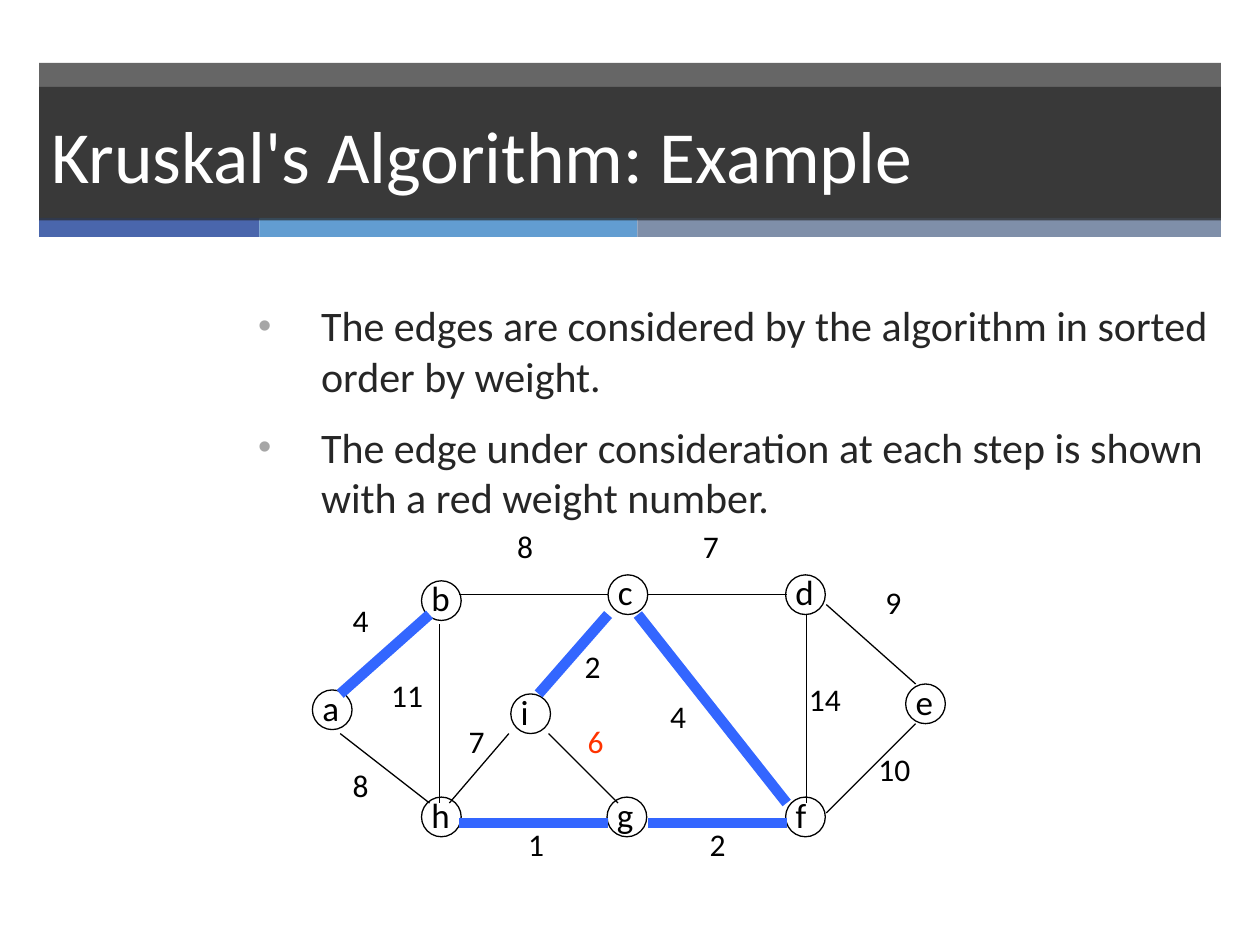
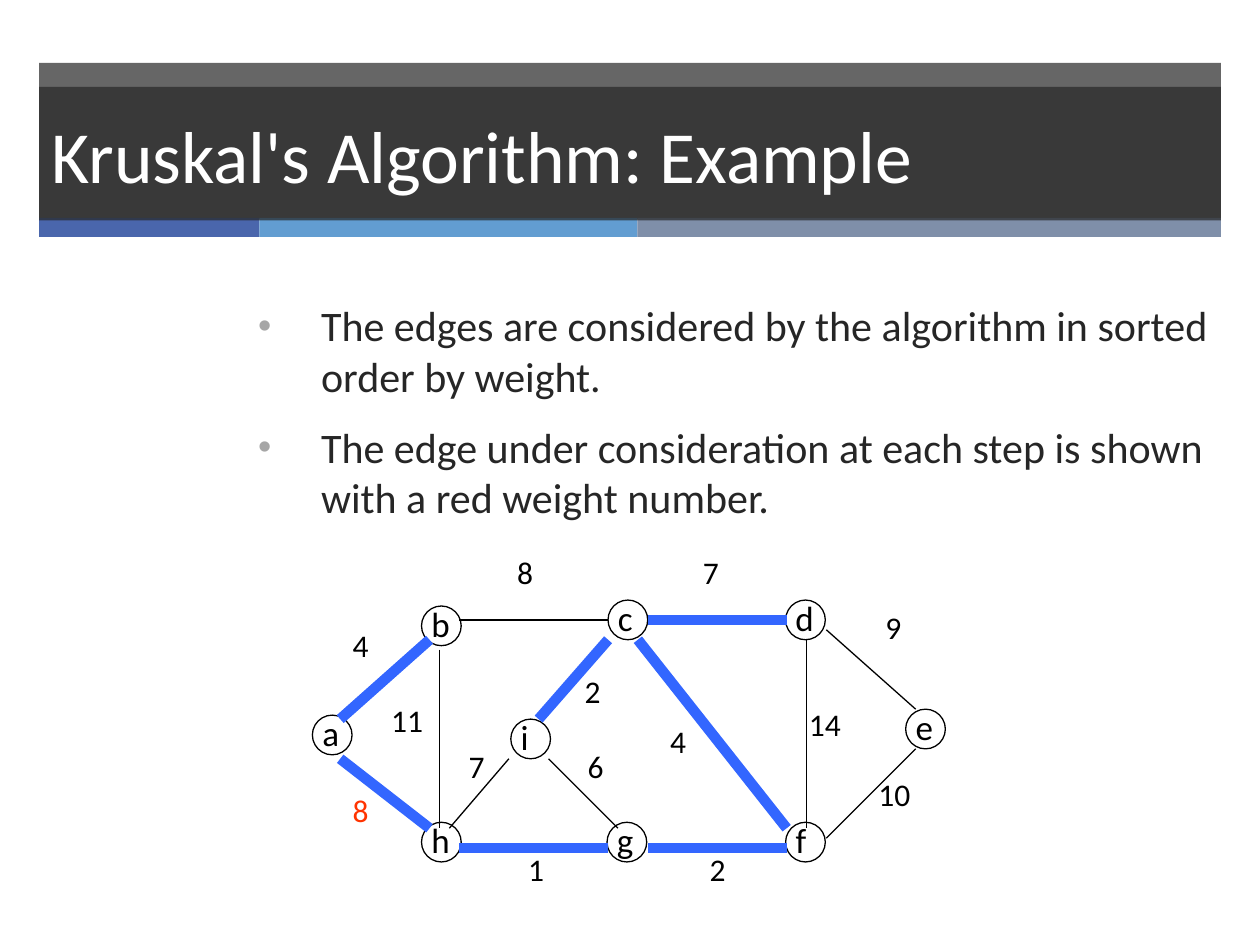
import pptx
import pptx.util
import pptx.dml.color
import pptx.enum.shapes
import pptx.enum.text
import pptx.oxml
import pptx.oxml.ns
import lxml.etree

Inches = pptx.util.Inches
Pt = pptx.util.Pt
RGB = pptx.dml.color.RGBColor
SHAPE = pptx.enum.shapes.MSO_SHAPE
qn = pptx.oxml.ns.qn

FONT = "Calibri"
DARK = RGB(0x26, 0x26, 0x26)
WHITE = RGB(0xFF, 0xFF, 0xFF)
BLACK = RGB(0, 0, 0)
TREE_BLUE = RGB(0x33, 0x66, 0xFF)
CURRENT_RED = RGB(0xFF, 0x33, 0)
STRIPES = [
    (1.75, RGB(0x4A, 0x66, 0xAC)),
    (3.00, RGB(0x62, 0x9D, 0xD1)),
    (4.63, RGB(0x7F, 0x8F, 0xA9)),
]

TITLE = "Kruskal's Algorithm: Example"
BULLETS = [
    "The edges are considered by the algorithm in sorted order by weight.",
    "The edge under consideration at each step is shown with a red weight number.",
]

STEPS = [
    {"top": 4.72, "tree": {"ab", "ic", "cf", "hg", "gf"}, "current": "ig"},
    {"top": 4.92, "tree": {"ab", "ic", "cf", "hg", "gf", "cd", "ah"}, "current": "ah"},
]

# name: centre column, centre row, label width in inches
NODES = {
    "a": (-0.8, 11.6, 0.32),
    "b": (10.2, 0.6, 0.34),
    "h": (10.2, 22.4, 0.34),
    "c": (29, 0, 0.32),
    "d": (46.9, 0, 0.34),
    "e": (59, 11, 0.32),
    "f": (46.9, 22.4, 0.29),
    "g": (28.9, 22.4, 0.34),
    "i": (19.2, 12, 0.28),
}

# name: start cell, end cell, weight, weight cell
EDGES = {
    "ab": ((0, 10), (9, 2), 4, (0, 0)),
    "ah": ((0, 14), (9, 21), 8, (0, 16.6)),
    "bh": ((10, 3), (10, 21), 11, (3.9, 7.6)),
    "bc": ((12, 0), (27, 0), 8, (16.6, -7.4)),
    "hg": ((12, 23), (27, 23), 1, (17.7, 22.6)),
    "gf": ((31, 23), (45, 23), 2, (36, 22.6)),
    "cf": ((30, 2), (45, 21), 4, (32, 9.7)),
    "cd": ((31, 0), (45, 0), 7, (35.3, -7.4)),
    "df": ((47, 2), (47, 21), 14, (46, 8)),
    "de": ((49, 1), (58, 9), 9, (53.7, -1.8)),
    "fe": ((49, 22), (58, 13), 10, (53, 15)),
    "ig": ((21, 14), (28, 21), 6, (23.7, 12.2)),
    "hi": ((11, 21), (17, 14), 7, (11.7, 12.2)),
    "ic": ((20, 10), (27, 2), 2, (23.4, 4.6)),
}

CELL = pptx.util.Mm(2)
GRAPH_LEFT = Inches(2.7)
NODE_SIZE = 4 * CELL
BAND_LEFT, BAND_WIDTH = 0.31, 9.38


def style(p, size, color):
    for r in p.runs:
        r.font.name = FONT
        r.font.size = Pt(size)
        r.font.color.rgb = color


def add_band(slide, left, top, width, height, color, opacity=None):
    sp = slide.shapes.add_shape(
        SHAPE.RECTANGLE, Inches(left), Inches(top), Inches(width), Inches(height))
    sp.shadow.inherit = False
    sp.fill.solid()
    sp.fill.fore_color.rgb = color
    sp.line.fill.background()
    if opacity:
        clr = sp.fill._xPr.find(".//" + qn("a:srgbClr"))
        lxml.etree.SubElement(clr, qn("a:alpha"), val=str(opacity * 1000))
    return sp


def add_header(slide):
    add_band(slide, BAND_LEFT, 0.5, BAND_WIDTH, 1.24, DARK, 70)
    left = BAND_LEFT
    for width, color in STRIPES:
        add_band(slide, left, 1.73, width, 0.15, color)
        left += width
    tf = add_band(slide, BAND_LEFT, 0.69, BAND_WIDTH, 1.06, DARK, 70).text_frame
    tf.text = TITLE
    tf.word_wrap = True
    tf.vertical_anchor = pptx.enum.text.MSO_ANCHOR.MIDDLE
    tf.paragraphs[0].alignment = pptx.enum.text.PP_ALIGN.LEFT
    style(tf.paragraphs[0], 42, WHITE)


def add_bullets(slide):
    tf = slide.shapes.add_textbox(
        Inches(1.95), Inches(2.33), Inches(7.74), Inches(4.37)).text_frame
    tf.word_wrap = True
    for n, text in enumerate(BULLETS):
        p = tf.add_paragraph() if n else tf.paragraphs[0]
        p.text = text
        if n:
            p.space_before = Pt(12)
        pPr = p._p.get_or_add_pPr()
        pPr.set("marL", str(Inches(0.5)))
        pPr.set("indent", str(-Inches(0.5)))
        bu_clr = lxml.etree.SubElement(pPr, qn("a:buClr"))
        lxml.etree.SubElement(bu_clr, qn("a:srgbClr"), val="A6A6A6")
        lxml.etree.SubElement(pPr, qn("a:buSzPct"), val="90000")
        lxml.etree.SubElement(pPr, qn("a:buFont"), typeface="Arial")
        lxml.etree.SubElement(pPr, qn("a:buChar"), char="•")
        style(p, 24, DARK)


def add_label(slide, text, left, top, width, height, size, color):
    tf = slide.shapes.add_textbox(left, top, Inches(width), Inches(height)).text_frame
    tf.text = text
    tf.word_wrap = False
    tf.auto_size = pptx.enum.text.MSO_AUTO_SIZE.SHAPE_TO_FIT_TEXT
    style(tf.paragraphs[0], size, color)


def add_graph(slide, step):
    def at(col, row):
        return int(GRAPH_LEFT + col * CELL), int(Inches(step["top"]) + row * CELL)

    for name, (col, row, width) in NODES.items():
        left, top = at(col - 2, row - 2)
        add_label(slide, name, left - Inches(0.02), top - Inches(0.08),
                  width, 0.43, 20, BLACK)
        sp = slide.shapes.add_shape(SHAPE.OVAL, left, top, NODE_SIZE, NODE_SIZE)
        sp.shadow.inherit = False
        sp.fill.background()
        sp.line.color.rgb = BLACK
        sp.line.width = Pt(0.75)

    for name, (start, end, _, _) in EDGES.items():
        in_tree = name in step["tree"]
        line = slide.shapes.add_connector(
            pptx.enum.shapes.MSO_CONNECTOR.STRAIGHT, *at(*start), *at(*end))
        line.line.color.rgb = TREE_BLUE if in_tree else BLACK
        line.line.width = Pt(6 if in_tree else 0.75)
        lxml.etree.SubElement(line._element.spPr, qn("a:effectLst"))

    for name, (_, _, weight, cell) in EDGES.items():
        color = CURRENT_RED if name == step["current"] else BLACK
        width = 0.53 if weight > 9 else 0.37
        add_label(slide, str(weight), *at(*cell), width, 0.5, 18, color)


def main():
    prs = pptx.Presentation()
    prs.slide_width, prs.slide_height = Inches(10), Inches(7.5)
    for step in STEPS:
        slide = prs.slides.add_slide(prs.slide_layouts[6])
        add_header(slide)
        add_bullets(slide)
        add_graph(slide, step)
    prs.save("out.pptx")


if __name__ == "__main__":
    main()
